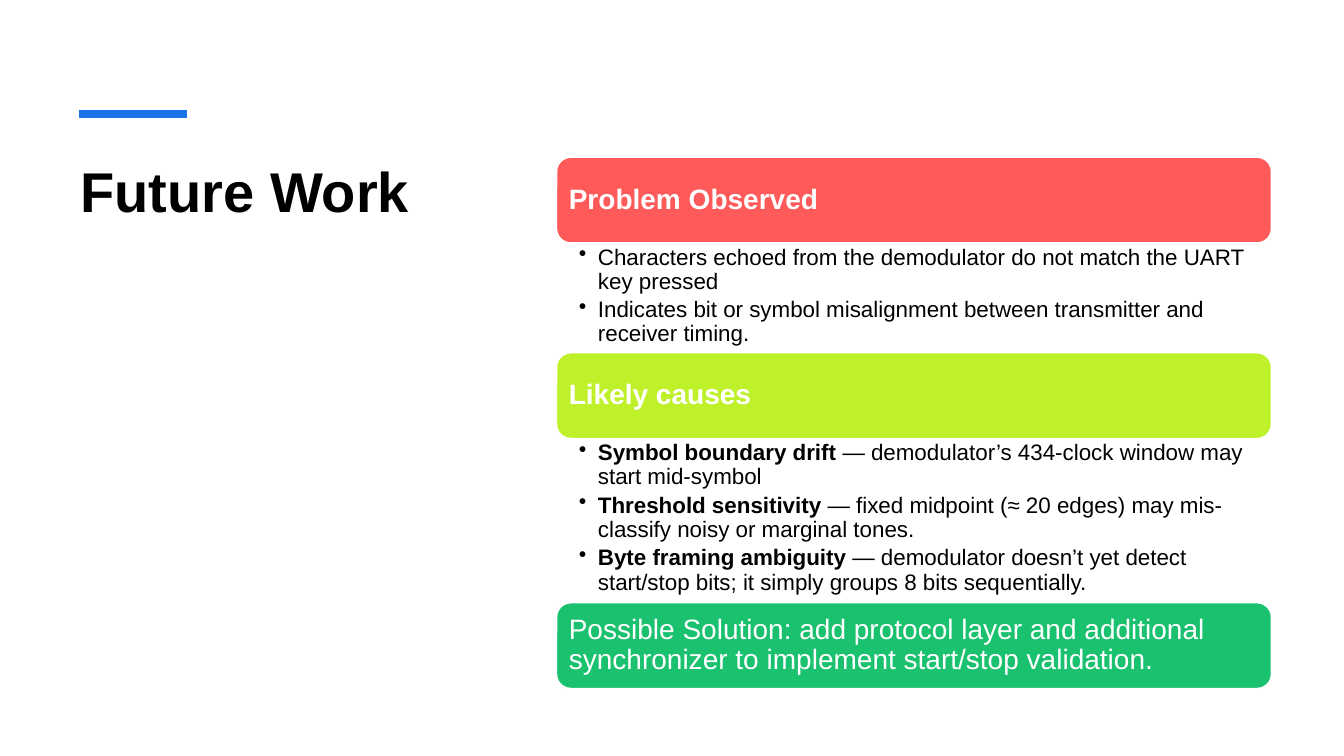
from pptx import Presentation
from pptx import util as u
from pptx.dml.color import RGBColor
from pptx.enum import shapes, text
from pptx.oxml.ns import qn
from lxml import etree


def rgb(color):
    return RGBColor.from_string(color)


class Deck:
    """Holds the style and the current slide."""
    font, white, black, accent = "Arial", "FFFFFF", "000000", "1973EB"

    def __init__(self, prs):
        self.s = prs.slides.add_slide(prs.slide_layouts[6])

    def run(self, p, words, size, color, bold=False):
        r = p.add_run()
        r.text = words
        r.font.name, r.font.size, r.font.bold = self.font, u.Pt(size), bold
        r.font.color.rgb = rgb(color)

    def frame(self, sp, insets, anchor=text.MSO_ANCHOR.TOP):
        tf = sp.text_frame
        tf.word_wrap = True
        tf.vertical_anchor = anchor
        tf.margin_left, tf.margin_top, tf.margin_right, tf.margin_bottom = map(u.Inches, insets)
        return tf

    def box(self, x, y, w, h, insets):
        return self.frame(self.s.shapes.add_textbox(*map(u.Inches, (x, y, w, h))), insets)

    def title(self, words, x, y, w, h):
        tf = self.box(x, y, w, h, (0.1, 0.05, 0.1, 0.05))
        self.run(tf.paragraphs[0], words, 40, self.black, True)

    def rule(self, x1, x2, y):
        ln = self.s.shapes.add_connector(shapes.MSO_CONNECTOR.STRAIGHT,
                                         *map(u.Inches, (x1, y, x2, y)))
        ln.line.color.rgb, ln.line.width = rgb(self.accent), u.Pt(6)
        etree.SubElement(ln._element.spPr, qn("a:effectLst"))

    def banner(self, words, fill, bold, x, y, w, h):
        sp = self.s.shapes.add_shape(shapes.MSO_SHAPE.ROUNDED_RECTANGLE,
                                     *map(u.Inches, (x, y, w, h)))
        sp.shadow.inherit = False
        sp.fill.solid()
        sp.fill.fore_color.rgb = rgb(fill)
        sp.line.color.rgb, sp.line.width = rgb(self.white), u.Pt(1)
        p = self.frame(sp, [0.08] * 4, text.MSO_ANCHOR.MIDDLE).paragraphs[0]
        p.alignment, p.line_spacing = text.PP_ALIGN.LEFT, 0.9
        self.run(p, words, 20, self.white, bold)

    def bullets(self, items, x, y, w, h):
        tf = self.box(x, y, w, h, (0.22, 0.03, 0.16, 0.03))
        for i, (lead, rest) in enumerate(items):
            p = tf.add_paragraph() if i else tf.paragraphs[0]
            pPr = p._p.get_or_add_pPr()
            pPr.set("marL", str(u.Inches(0.19)))
            pPr.set("indent", str(u.Inches(-0.19)))
            etree.SubElement(pPr, qn("a:buChar"), char="•")
            p.line_spacing, p.space_after = 0.9, u.Pt(3)
            if lead:
                self.run(p, lead, 16, self.black, True)
            self.run(p, rest, 16, self.black)


# Banner text, fill, bold, height of the list below, list items (bold lead, rest)
SECTIONS = [
    ("Problem Observed", "FE5A5A", True, 1.09, [
        ("", "Characters echoed from the demodulator do not match the UART key pressed"),
        ("", "Indicates bit or symbol misalignment between transmitter and receiver timing."),
    ]),
    ("Likely causes", "BEF129", True, 1.63, [
        ("Symbol boundary drift", " — demodulator’s 434-clock window may start mid-symbol"),
        ("Threshold sensitivity",
         " — fixed midpoint (≈ 20 edges) may mis-classify noisy or marginal tones."),
        ("Byte framing ambiguity",
         " — demodulator doesn’t yet detect start/stop bits; it simply groups 8 bits sequentially."),
    ]),
    ("Possible Solution: add protocol layer and additional synchronizer to implement "
     "start/stop validation.", "1AC16E", False, 0, []),
]
LEFT, TOP, WIDTH, BANNER_H = 5.52, 1.56, 7.09, 0.85


def main():
    prs = Presentation()
    prs.slide_width, prs.slide_height = u.Inches(13.33), u.Inches(7.5)
    deck = Deck(prs)

    # Title and accent rule
    deck.title("Future Work", 0.7, 1.5, 4.02, 4.29)
    deck.rule(0.78, 1.85, 1.13)

    # Stacked banners, each followed by its list
    y = TOP
    for heading, fill, bold, list_h, items in SECTIONS:
        deck.banner(heading, fill, bold, LEFT, y, WIDTH, BANNER_H)
        y += BANNER_H
        if items:
            deck.bullets(items, LEFT, y, WIDTH, list_h)
            y += list_h

    prs.save("out.pptx")


if __name__ == "__main__":
    main()
